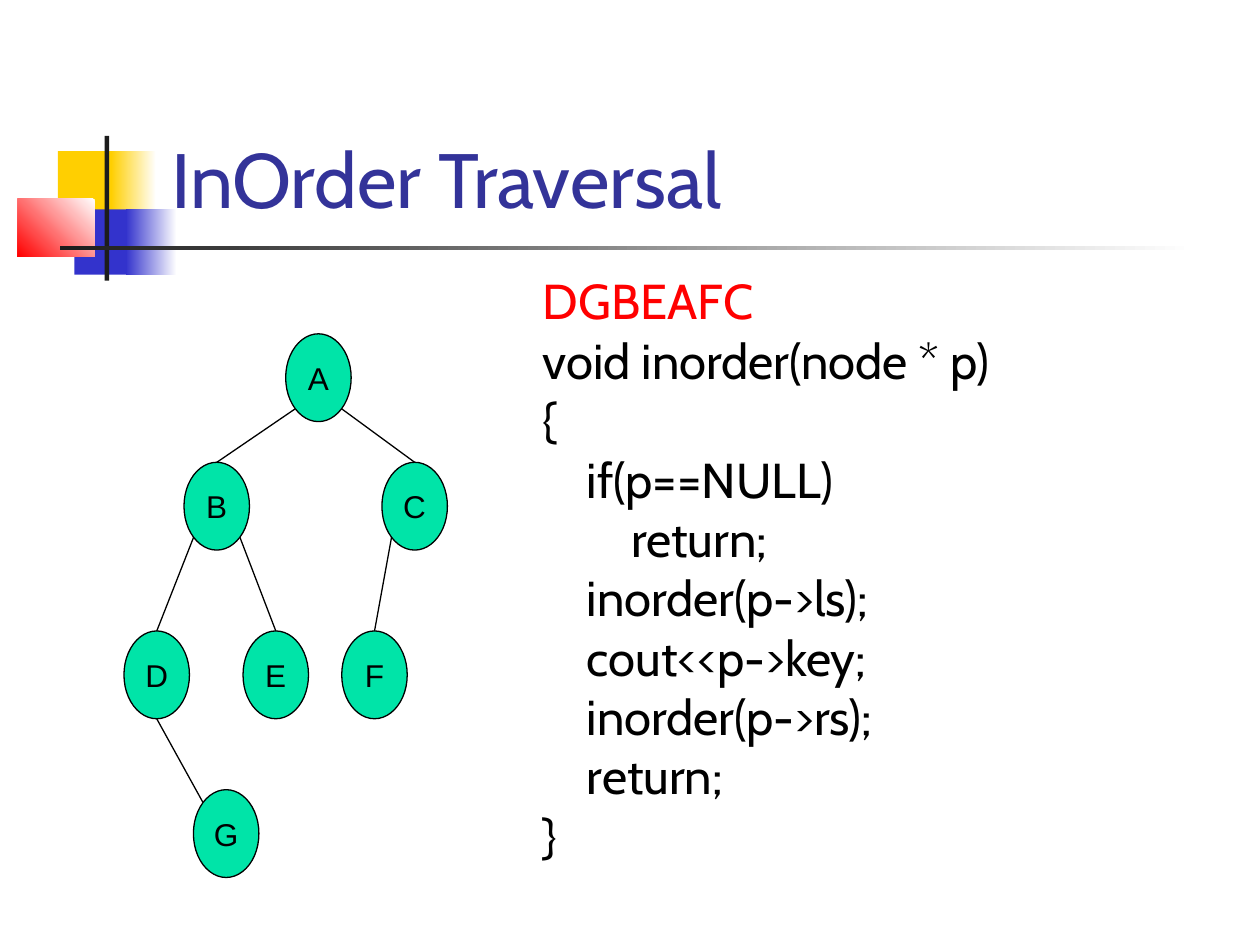
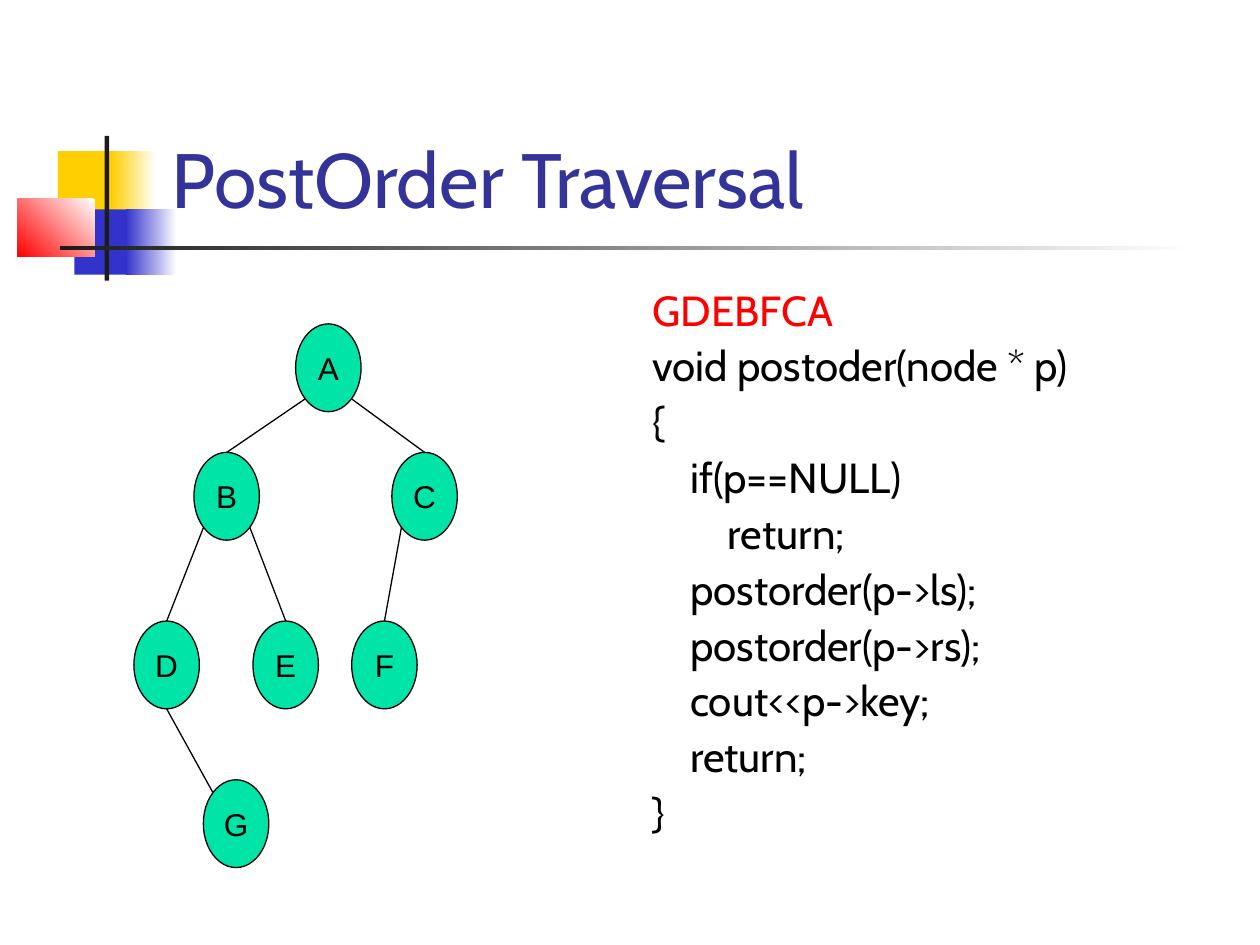
from dataclasses import dataclass
from math import cos, radians, sin

from lxml.etree import SubElement
from pptx import Presentation
from pptx.dml.color import RGBColor
from pptx.enum.shapes import MSO_CONNECTOR as Line, MSO_SHAPE as Shape
from pptx.enum.text import MSO_ANCHOR as Anchor, MSO_AUTO_SIZE as AutoSize, PP_ALIGN as Align
from pptx.oxml.ns import qn
from pptx.util import Cm, Pt


@dataclass(frozen=True)
class Theme:
    title: str = "333399"
    code: str = "000000"
    result: str = "FF0000"
    node: str = "00E4A8"
    outline: str = "000000"
    fade: str = "FFFFFF"
    yellow: str = "FFCF01"
    blue: str = "3333CC"
    red: str = "FF0000"
    rule: str = "1C1C1C"
    text_font: str = "Cabin"
    node_font: str = "Arial"
    title_size: int = 44
    node_size: int = 18
    line_width: float = 0.75


THEME = Theme()

# Band blocks in cm: left, top, width, height, colour, fade angle (None = solid)
BAND = [
    (1.17, 3.05, 1.22, 1.32, THEME.yellow, None),
    (2.24, 3.05, 0.91, 1.32, THEME.yellow, 180),
    (1.50, 4.22, 1.17, 1.32, THEME.blue, None),
    (2.54, 4.22, 1.02, 1.32, THEME.blue, 180),
    (0.36, 4.01, 1.55, 1.17, THEME.red, 225),
    (2.11, 2.74, 0.09, 2.92, THEME.rule, None),
    (1.22, 4.95, 22.86, 0.09, THEME.rule, 180),
]

# Tree in cm, relative to its box
NODE_WIDTH, NODE_HEIGHT = 1.32, 1.77
NODES = {
    "A": (3.26, 0), "B": (1.21, 2.59), "C": (5.20, 2.59),
    "D": (0, 5.99), "E": (2.40, 5.99), "F": (4.39, 5.99), "G": (1.40, 9.19),
}
# Edges leave and reach a node at an angle, clockwise from the right
TOP, TOP_LEFT, BOTTOM, BOTTOM_LEFT, BOTTOM_RIGHT = 270, 225, 90, 135, 45
EDGES = [
    ("A", BOTTOM_LEFT, "B", TOP), ("A", BOTTOM_RIGHT, "C", TOP),
    ("B", BOTTOM_LEFT, "D", TOP), ("B", BOTTOM_RIGHT, "E", TOP),
    ("C", BOTTOM_LEFT, "F", TOP), ("D", BOTTOM, "G", TOP_LEFT),
]

INORDER = """void inorder(node * p)
{
    if(p==NULL)
        return;
    inorder(p->ls);
    cout<<p->key;
    inorder(p->rs);
    return;
}"""

POSTORDER = """void postoder(node * p)
{
    if(p==NULL)
        return;
    postorder(p->ls);
    postorder(p->rs);
    cout<<p->key;
    return;
}"""


def rgb(value):
    return RGBColor.from_string(value)


def write(paragraph, text, *, size, color, font=THEME.text_font, align=Align.LEFT,
          before=0, spacing=1.0, hanging=None):
    properties = paragraph._p.get_or_add_pPr()
    if hanging is not None:
        SubElement(properties, qn("a:buNone"))
        properties.set("marL", str(Cm(hanging)))
        properties.set("indent", str(-Cm(hanging)))
    paragraph.alignment = align
    paragraph.space_before = Pt(before)
    paragraph.line_spacing = spacing
    run = paragraph.add_run()
    run.text = text
    run.font.name, run.font.size = font, Pt(size)
    run.font.color.rgb = rgb(color)


def place(part, left, top, width, height):
    part.left, part.top, part.width, part.height = map(Cm, (left, top, width, height))


# Decorative band, shared through the layout
def add_band(layout, slide):
    for number, (left, top, width, height, color, angle) in enumerate(BAND, start=100):
        block = slide.shapes.add_shape(
            Shape.RECTANGLE, Cm(left), Cm(top), Cm(width), Cm(height))
        block.shadow.inherit = False
        block.line.fill.background()
        if angle is None:
            block.fill.solid()
            block.fill.fore_color.rgb = rgb(color)
        else:
            block.fill.gradient()
            block.fill.gradient_angle = angle
            for stop, tone, position in zip(
                    block.fill.gradient_stops, (THEME.fade, color), (0, 1)):
                stop.color.rgb = rgb(tone)
                stop.position = position
        block.element.nvSpPr.cNvPr.set("id", str(number))
        layout.shapes.element.append(block.element)


# Slide title
def add_title(slide, text):
    title = slide.shapes.title
    place(title, 3.2, 0.58, 21.64, 4.06)
    frame = title.text_frame
    frame.auto_size = AutoSize.NONE
    frame.vertical_anchor = Anchor.BOTTOM
    write(frame.paragraphs[0], text, size=THEME.title_size, color=THEME.title)


# Visit order followed by the code
def add_code(slide, box, result, code, size, before, spacing):
    listing = slide.placeholders[1]
    place(listing, *box)
    frame = listing.text_frame
    frame.auto_size = AutoSize.NONE
    frame.vertical_anchor = Anchor.TOP
    write(frame.paragraphs[0], result, size=size, color=THEME.result, hanging=0.95)
    for line in code.splitlines():
        write(frame.add_paragraph(), line, size=size, color=THEME.code,
              before=before, spacing=spacing, hanging=0.95)


# Binary tree
def add_tree(slide, left, top):
    tree = slide.shapes.add_group_shape()

    def rim(name, angle):
        x, y = NODES[name]
        return (Cm(left + x + NODE_WIDTH / 2 * (1 + cos(radians(angle)))),
                Cm(top + y + NODE_HEIGHT / 2 * (1 + sin(radians(angle)))))

    for parent, leaving, child, reaching in EDGES:
        edge = tree.shapes.add_connector(
            Line.STRAIGHT, *rim(parent, leaving), *rim(child, reaching))
        edge.line.color.rgb = rgb(THEME.outline)
        edge.line.width = Pt(THEME.line_width)
        SubElement(edge.element.spPr, qn("a:effectLst"))

    for name, (x, y) in NODES.items():
        node = tree.shapes.add_shape(
            Shape.OVAL, Cm(left + x), Cm(top + y), Cm(NODE_WIDTH), Cm(NODE_HEIGHT))
        node.shadow.inherit = False
        node.fill.solid()
        node.fill.fore_color.rgb = rgb(THEME.node)
        node.line.color.rgb = rgb(THEME.outline)
        node.line.width = Pt(THEME.line_width)
        frame = node.text_frame
        frame.word_wrap = False
        frame.vertical_anchor = Anchor.MIDDLE
        write(frame.paragraphs[0], name, size=THEME.node_size, color=THEME.outline,
              font=THEME.node_font, align=Align.CENTER)


def add_traversal(deck, layout, title, tree_at, **listing):
    slide = deck.slides.add_slide(layout)
    add_title(slide, title)
    add_code(slide, **listing)
    add_tree(slide, *tree_at)
    return slide


def main():
    deck = Presentation()
    deck.slide_width, deck.slide_height = Cm(25.4), Cm(19.05)
    layout = deck.slide_layouts[1]
    inorder = add_traversal(
        deck, layout, "InOrder Traversal", (2.5, 6.73),
        box=(10.69, 5.33, 14.17, 12.62), result="DGBEAFC", code=INORDER,
        size=28, before=7, spacing=0.8)
    add_band(layout, inorder)
    add_traversal(
        deck, layout, "PostOrder Traversal", (2.7, 6.53),
        box=(12.9, 5.61, 11.99, 11.43), result="GDEBFCA", code=POSTORDER,
        size=24, before=6, spacing=0.9)
    deck.save("out.pptx")


if __name__ == "__main__":
    main()
